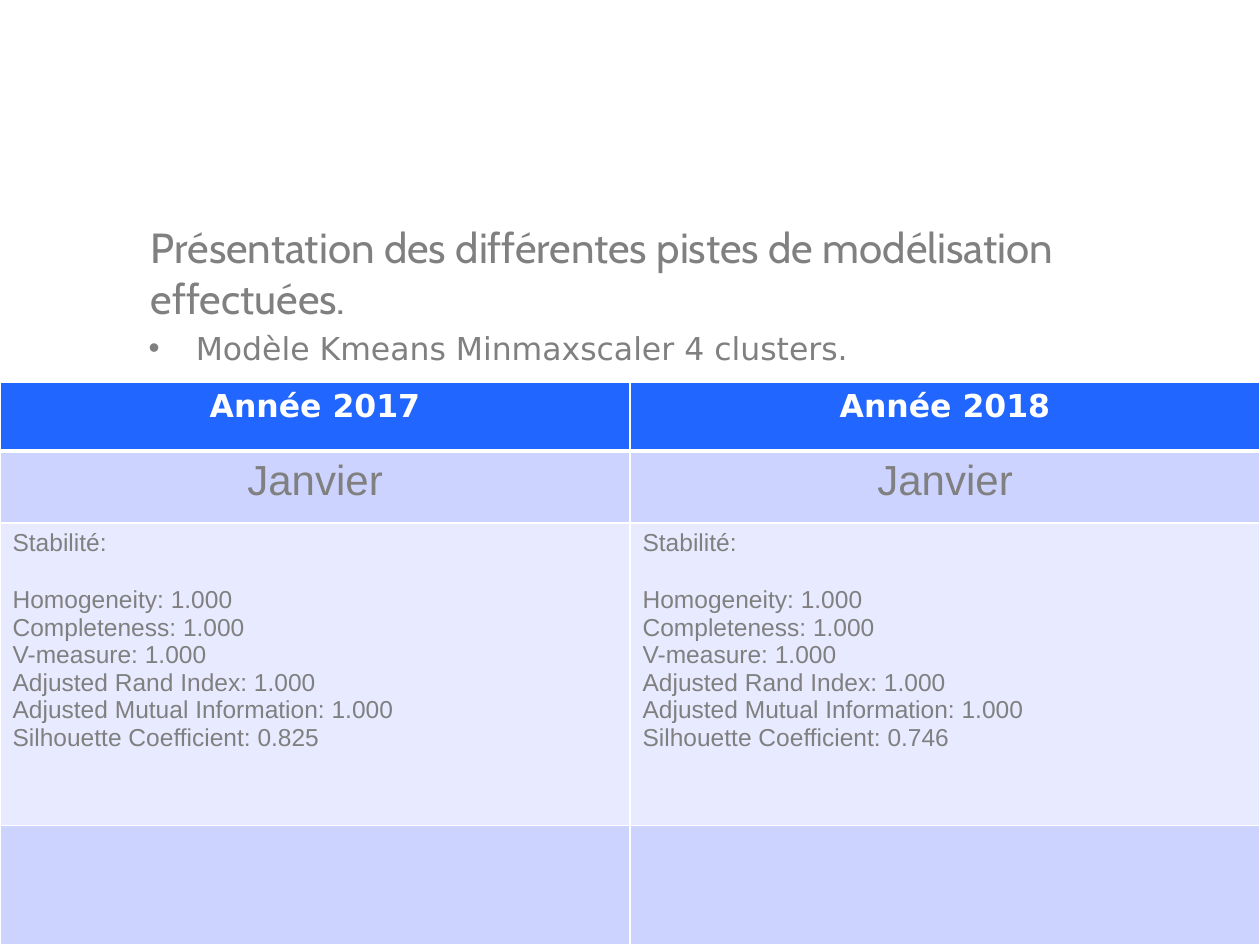
from lxml import etree
from pptx import Presentation
from pptx import util as u
from pptx.dml.color import RGBColor
from pptx.enum import text
from pptx.oxml import ns

GREY, WHITE = "808080", "FFFFFF"
HEADER, BAND, LIGHT_BAND = "2166FF", "CDD3FF", "E8EAFF"
YEARS = [("Année 2017", "0.825"), ("Année 2018", "0.746")]
SCORES = ["Homogeneity", "Completeness", "V-measure", "Adjusted Rand Index",
          "Adjusted Mutual Information"]


def color(value):
    return RGBColor.from_string(value)


def add_run(paragraph, words, size, face, tint=GREY, bold=False):
    run = paragraph.add_run()
    run.text = words
    run.font.size = u.Pt(size)
    run.font.name = face
    run.font.bold = bold
    run.font.color.rgb = color(tint)


def add_frame(slide, box, anchor):
    frame = slide.shapes.add_textbox(*map(u.Pt, box)).text_frame
    frame.word_wrap = True
    frame.vertical_anchor = anchor
    return frame


def add_heading(slide, box):
    frame = add_frame(slide, box, text.MSO_ANCHOR.MIDDLE)
    add_run(frame.paragraphs[0],
            "Présentation des différentes pistes de modélisation effectuées.", 24, "Cabin")


def add_model(slide, box):
    model = add_frame(slide, box, text.MSO_ANCHOR.TOP).paragraphs[0]
    model.alignment = text.PP_ALIGN.JUSTIFY
    model.line_spacing = 0.8
    properties = model._p.get_or_add_pPr()
    properties.set("marL", str(u.Pt(27)))
    properties.set("indent", str(u.Pt(-27)))
    etree.SubElement(properties, ns.qn("a:buFont"), typeface="Arial")
    etree.SubElement(properties, ns.qn("a:buChar"), char="•")
    add_run(model, "Modèle Kmeans Minmaxscaler 4 clusters.", 18, "DejaVu Sans")


def style_cell(cell, fill, top=1, bottom=1):
    properties = cell._tc.get_or_add_tcPr()
    for side, width in (("L", 1), ("R", 1), ("T", top), ("B", bottom)):
        border = etree.SubElement(properties, ns.qn(f"a:ln{side}"), w=str(u.Pt(width)))
        paint = etree.SubElement(border, ns.qn("a:solidFill"))
        etree.SubElement(paint, ns.qn("a:srgbClr"), val=WHITE)
    cell.fill.solid()
    cell.fill.fore_color.rgb = color(fill)


def add_centred(cell, *run_style):
    paragraph = cell.text_frame.paragraphs[0]
    paragraph.alignment = text.PP_ALIGN.CENTER
    add_run(paragraph, *run_style)


def add_scores(cell, silhouette):
    lines = ["Stabilité:", *(f"{score}: 1.000" for score in SCORES),
             f"Silhouette Coefficient: {silhouette}"]
    frame = cell.text_frame
    for index, line in enumerate(lines):
        paragraph = frame.add_paragraph() if index else frame.paragraphs[0]
        paragraph.alignment = text.PP_ALIGN.LEFT
        paragraph.line_spacing = u.Pt(15.75)
        if index == 1:
            paragraph.space_before = u.Pt(16.75)
        add_run(paragraph, line, 14, "Arial")


def add_results(slide, box):
    left, top, width, height = box
    heights = [39.6, 41, 172.8]
    heights.append(height - sum(heights))
    results = slide.shapes.add_table(len(heights), len(YEARS), *map(u.Pt, box)).table
    for row, row_height in zip(results.rows, heights):
        row.height = u.Pt(row_height)
    for column, (year, silhouette) in enumerate(YEARS):
        results.columns[column].width = u.Pt(width / len(YEARS))
        header, month, scores, spare = [results.cell(row, column) for row in range(len(heights))]
        style_cell(header, HEADER, bottom=3)
        style_cell(month, BAND, top=3)
        style_cell(scores, LIGHT_BAND)
        style_cell(spare, BAND)
        add_centred(header, year, 18, "DejaVu Sans", WHITE, True)
        add_centred(month, "Janvier", 24, "Arial")
        add_scores(scores, silhouette)


def main():
    deck = Presentation()
    deck.slide_width, deck.slide_height = u.Pt(720), u.Pt(540)
    slide = deck.slides.add_slide(deck.slide_layouts[6])
    slide.background.fill.solid()
    slide.background.fill.fore_color.rgb = color(WHITE)
    add_heading(slide, (79.2, 127.4, 576, 56.2))
    add_model(slide, (77.8, 188.6, 576, 329.8))
    add_results(slide, (0, 218.2, 720, 321.8))
    deck.save("out.pptx")


if __name__ == "__main__":
    main()
